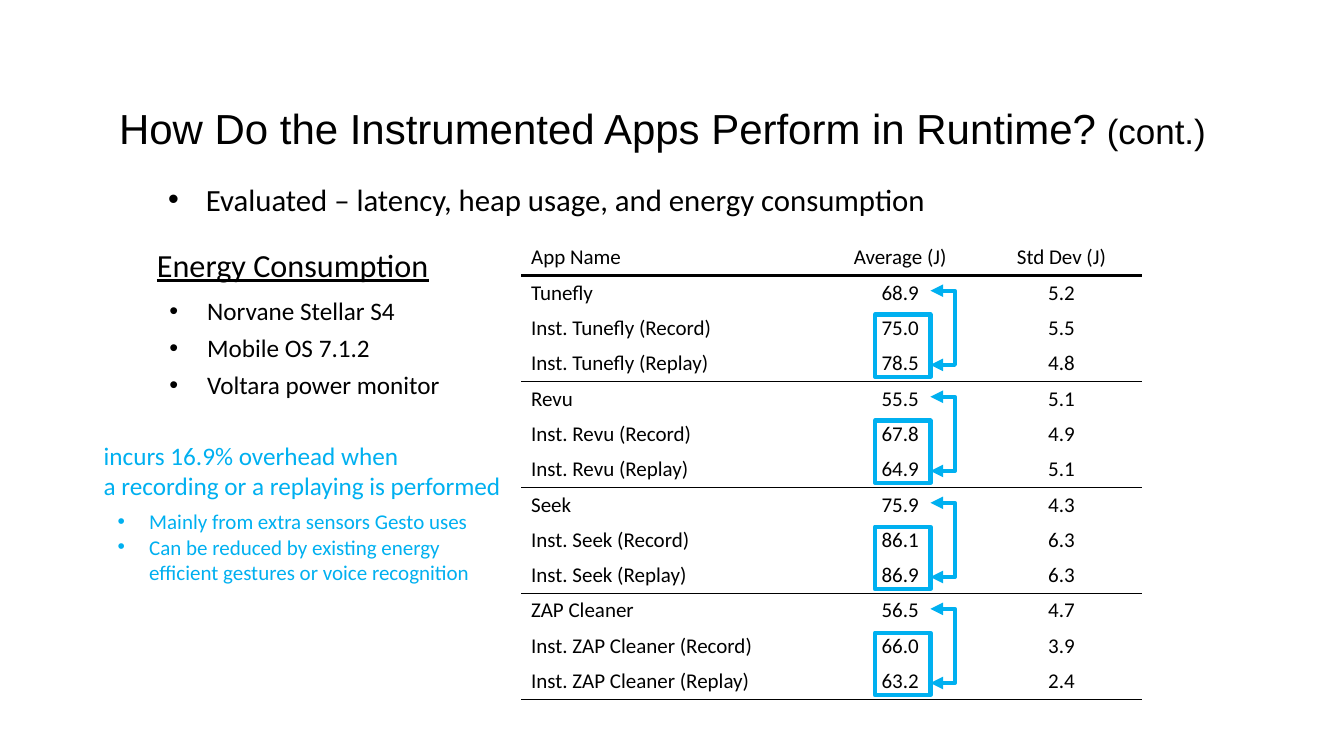
from lxml.etree import SubElement
from pptx import Presentation
from pptx.dml.color import RGBColor
from pptx.enum.shapes import MSO_CONNECTOR, MSO_SHAPE
from pptx.enum.text import MSO_ANCHOR, MSO_AUTO_SIZE, PP_ALIGN
from pptx.oxml import parse_xml
from pptx.oxml.ns import nsdecls, qn
from pptx.util import Pt

COLORS = {"text": "000000", "accent": "00B0F0"}
BODY_FONT = "Calibri"
TITLE_FONT = "Arial"
NO_TABLE_STYLE = "{2D5ABB26-0587-4C30-8999-92F81FD0307C}"
ROW_HEIGHT = 25.25
COLUMN_WIDTHS = [213.2, 115.2, 115.2]
HEADINGS = ["App Name", "Average (J)", "Std Dev (J)"]
# App, then average and deviation for plain, record and replay runs
MEASUREMENTS = [
    ("Tunefly", [("68.9", "5.2"), ("75.0", "5.5"), ("78.5", "4.8")]),
    ("Revu", [("55.5", "5.1"), ("67.8", "4.9"), ("64.9", "5.1")]),
    ("Seek", [("75.9", "4.3"), ("86.1", "6.3"), ("86.9", "6.3")]),
    ("ZAP Cleaner", [("56.5", "4.7"), ("66.0", "3.9"), ("63.2", "2.4")]),
]
RUN_LABELS = ["{}", "Inst. {} (Record)", "Inst. {} (Replay)"]


def add_run(paragraph, text, size, color="text", font=BODY_FONT, underline=None):
    run = paragraph.add_run()
    run.text = text
    run.font.name = font
    run.font.size = Pt(size)
    run.font.underline = underline
    run.font.color.rgb = RGBColor.from_string(COLORS[color])


def add_bullet(paragraph, margin, hanging):
    properties = paragraph._p.get_or_add_pPr()
    properties.set("marL", str(Pt(margin)))
    properties.set("indent", str(-Pt(hanging)))
    SubElement(properties, qn("a:buFont")).set("typeface", "Arial")
    SubElement(properties, qn("a:buChar")).set("char", "•")


def add_text(slide, box, lines, size, color="text", wrap=True, bullet=None,
             gap=0, underline=None):
    frame = slide.shapes.add_textbox(*map(Pt, box)).text_frame
    frame.word_wrap = wrap
    for index, line in enumerate(lines):
        paragraph = frame.add_paragraph() if index else frame.paragraphs[0]
        if bullet:
            add_bullet(paragraph, *bullet)
        if index and gap:
            paragraph.space_before = Pt(gap)
        add_run(paragraph, line, size, color, underline=underline)


def add_title(slide, box):
    title = slide.shapes.title
    title.left, title.top, title.width, title.height = map(Pt, box)
    frame = title.text_frame
    frame.word_wrap = True
    frame.auto_size = MSO_AUTO_SIZE.NONE
    frame.vertical_anchor = MSO_ANCHOR.MIDDLE
    paragraph = frame.paragraphs[0]
    paragraph.alignment = PP_ALIGN.LEFT
    paragraph.line_spacing = 0.9
    add_run(paragraph, "How Do the Instrumented Apps Perform in Runtime?", 30,
            font=TITLE_FONT)
    add_run(paragraph, " (cont.)", 25, font=TITLE_FONT)


def add_notes_column(slide, left, top):
    # Test setup
    add_text(slide, (left + 38, top, 211, 35), ["Energy Consumption"], 23,
             wrap=False, underline=True)
    add_text(slide, (left + 10.8, top + 36, 279, 83),
             ["Norvane Stellar S4", "Mobile OS 7.1.2", "Voltara power monitor"],
             18, bullet=(63, 27), gap=5)
    # Finding
    add_text(slide, (left, top + 139.7, 301.7, 51),
             ["incurs 16.9% overhead when",
              "a recording or a replaying is performed"],
             18, "accent", wrap=False)
    add_text(slide, (left + 10, top + 188.6, 281.5, 62),
             ["Mainly from extra sensors Gesto uses",
              "Can be reduced by existing energy efficient gestures or voice "
              "recognition"],
             15, "accent", bullet=(22.5, 22.5))


def add_bottom_border(cell, width):
    cell._tc.get_or_add_tcPr().insert(0, parse_xml(
        f'<a:lnB {nsdecls("a")} w="{Pt(width)}"><a:solidFill>'
        f'<a:srgbClr val="{COLORS["text"]}"/></a:solidFill></a:lnB>'))


def add_energy_table(slide, left, top):
    rows = [HEADINGS]
    for app, runs in MEASUREMENTS:
        rows += [[label.format(app), *values]
                 for label, values in zip(RUN_LABELS, runs)]
    frame = slide.shapes.add_table(
        len(rows), len(HEADINGS), Pt(left), Pt(top),
        Pt(sum(COLUMN_WIDTHS)), Pt(ROW_HEIGHT * len(rows)))
    table = frame.table
    table.first_row = table.horz_banding = False
    table._tbl.tblPr.find(qn("a:tableStyleId")).text = NO_TABLE_STYLE
    for column, width in zip(table.columns, COLUMN_WIDTHS):
        column.width = Pt(width)
    for row_index, values in enumerate(rows):
        table.rows[row_index].height = Pt(ROW_HEIGHT)
        for column_index, value in enumerate(values):
            cell = table.cell(row_index, column_index)
            cell.fill.background()
            cell.vertical_anchor = MSO_ANCHOR.MIDDLE
            cell.margin_top = cell.margin_bottom = Pt(3)
            paragraph = cell.text_frame.paragraphs[0]
            paragraph.alignment = PP_ALIGN.CENTER if column_index else PP_ALIGN.LEFT
            add_run(paragraph, value, 15)
            if row_index % 3 == 0:
                add_bottom_border(cell, 1 if row_index else 2.25)


def style_line(line):
    line.color.rgb = RGBColor.from_string(COLORS["accent"])
    line.width = Pt(3)


def add_bent_arrow(slide, tip_x, tip_y, spine_x, spine_y):
    connector = slide.shapes.add_connector(
        MSO_CONNECTOR.ELBOW, Pt(tip_x), Pt(tip_y), Pt(spine_x), Pt(spine_y))
    style_line(connector.line)
    SubElement(connector.line._get_or_add_ln(), qn("a:headEnd")).set("type", "triangle")
    properties = connector._element.spPr
    SubElement(properties, qn("a:effectLst"))
    # Turn at the far end, so the arrow has a single corner
    guide = SubElement(properties.prstGeom.get_or_add_avLst(), qn("a:gd"))
    guide.set("name", "adj1")
    guide.set("fmla", "val 100000")


def add_comparison(slide, left, top):
    # Bracket from the plain run to the replay run
    tip_x, spine_x = left + 39.6, left + 57
    for tip_y in (top + 11, top + 64):
        add_bent_arrow(slide, tip_x, tip_y, spine_x, top + 37.5)
    # Frame around the instrumented averages
    frame = slide.shapes.add_shape(
        MSO_SHAPE.RECTANGLE, Pt(left), Pt(top + 28), Pt(39.6), Pt(44.6))
    frame.shadow.inherit = False
    frame.fill.background()
    style_line(frame.line)


def build_energy_slide(presentation):
    slide = presentation.slides.add_slide(presentation.slide_layouts[5])
    add_title(slide, (77.8, 41, 828, 104.4))
    add_text(slide, (77, 125.3, 635.8, 33.8),
             ["Evaluated – latency, heap usage, and energy consumption"],
             22, bullet=(63, 27))
    add_notes_column(slide, 67, 171.4)
    table_left, table_top = 372.2, 171.4
    add_energy_table(slide, table_left, table_top)
    for group in range(len(MEASUREMENTS)):
        add_comparison(slide, table_left + 252.8,
                       table_top + ROW_HEIGHT * (1 + 3 * group))


def main():
    presentation = Presentation()
    presentation.slide_width, presentation.slide_height = Pt(960), Pt(540)
    build_energy_slide(presentation)
    presentation.save("out.pptx")


if __name__ == "__main__":
    main()
